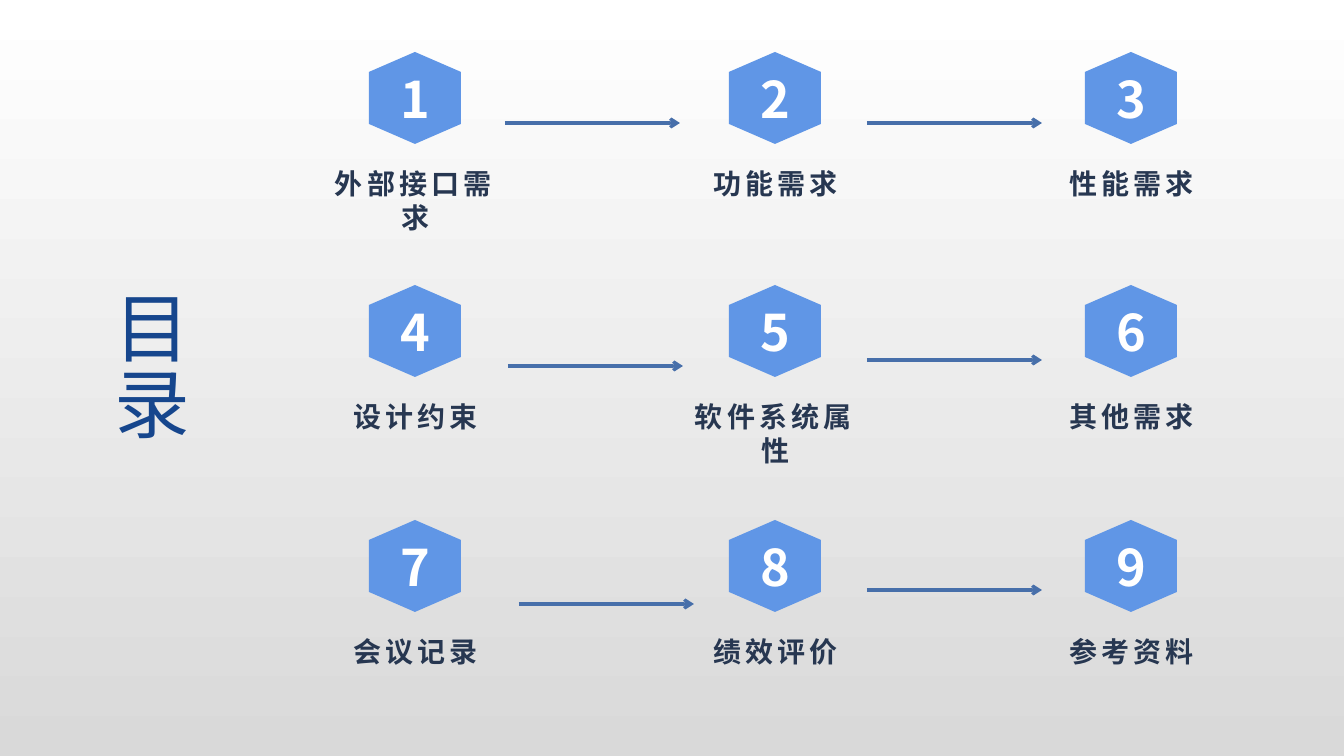
"""Build a contents slide with nine numbered hexagons in three rows."""
from lxml.etree import SubElement
from pptx import Presentation
from pptx.dml.color import RGBColor
from pptx.enum.shapes import MSO_CONNECTOR
from pptx.enum.text import MSO_ANCHOR, MSO_AUTO_SIZE, PP_ALIGN
from pptx.oxml.ns import qn
from pptx.util import Pt

PX = 914400 / 100.8
WHITE = RGBColor(0xFF, 0xFF, 0xFF)
GREY = RGBColor(0xD9, 0xD9, 0xD9)
TITLE_BLUE = RGBColor(0x16, 0x46, 0x8D)
HEXAGON_BLUE = RGBColor(0x60, 0x96, 0xE6)
LABEL_NAVY = RGBColor(0x27, 0x37, 0x51)
ARROW_BLUE = RGBColor(0x47, 0x6F, 0xAA)
CJK_FONT = "Noto Sans CJK SC"

LABELS = ["外部接口需求", "功能需求", "性能需求",
          "设计约束", "软件系统属性", "其他需求",
          "会议记录", "绩效评价", "参考资料"]
COLUMNS = [369, 729, 1085]
ROWS = [52, 285, 520]
HEXAGON = [(46, 0), (92, 20), (92, 72), (46, 92), (0, 72), (0, 20)]
ARROW_STARTS = [(505, 123), (867, 123), (508, 366),
                (867, 360), (519, 604), (867, 590)]
ARROW_LENGTH = 175


def emu(*lengths):
    return [round(length * PX) for length in lengths]


def add_text(para, text, size, color, font=CJK_FONT, bold=True):
    span = para.add_run()
    span.text = text
    span.font.size = Pt(size)
    span.font.bold = bold
    span.font.color.rgb = color
    span.font.name = font
    properties = span.font._element
    SubElement(properties, qn("a:ea"), typeface=CJK_FONT)
    return properties


deck = Presentation()
deck.slide_width, deck.slide_height = emu(1344, 756)
page = deck.slides.add_slide(deck.slide_layouts[5])

backdrop = page.background.fill
backdrop.gradient()
backdrop.gradient_angle = 270
for stop, color in zip(backdrop.gradient_stops, [WHITE, GREY]):
    stop.color.rgb = color

title = page.shapes.title
title.left, title.top, title.width, title.height = emu(93, 285, 112, 523)
frame = title.text_frame
frame.auto_size = MSO_AUTO_SIZE.NONE
frame.vertical_anchor = MSO_ANCHOR.TOP
frame._txBody.bodyPr.set("vert", "eaVert")
frame.paragraphs[0].alignment = PP_ALIGN.LEFT
add_text(frame.paragraphs[0], "目录", 54, TITLE_BLUE, "Arial", False)

for index, label in enumerate(LABELS):
    left, top = COLUMNS[index % 3], ROWS[index // 3]
    group = page.shapes.add_group_shape()

    corners = [(left + x, top + y) for x, y in HEXAGON]
    builder = group.shapes.build_freeform(*corners[0], scale=PX)
    builder.add_line_segments(corners[1:], close=True)
    hexagon = builder.convert_to_shape()
    hexagon.shadow.inherit = False
    hexagon.fill.solid()
    hexagon.fill.fore_color.rgb = HEXAGON_BLUE
    hexagon.line.fill.background()
    hexagon.text_frame.vertical_anchor = MSO_ANCHOR.MIDDLE
    para = hexagon.text_frame.paragraphs[0]
    para.alignment = PP_ALIGN.CENTER
    add_text(para, str(index + 1), 36, WHITE)

    height = 78 if len(label) > 5 else 44
    box = group.shapes.add_textbox(*emu(left - 46, top + 110, 185, height))
    box.text_frame.word_wrap = True
    box.text_frame.auto_size = MSO_AUTO_SIZE.SHAPE_TO_FIT_TEXT
    para = box.text_frame.paragraphs[0]
    para.alignment = PP_ALIGN.CENTER
    add_text(para, label, 20, LABEL_NAVY).set("spc", "300")

for x, y in ARROW_STARTS:
    arrow = page.shapes.add_connector(
        MSO_CONNECTOR.STRAIGHT, *emu(x, y, x + ARROW_LENGTH, y))
    arrow.line.color.rgb = ARROW_BLUE
    arrow.line.width = Pt(2.25)
    SubElement(arrow.line._get_or_add_ln(), qn("a:tailEnd"), type="arrow")
    SubElement(arrow._element.spPr, qn("a:effectLst"))

deck.save("out.pptx")
